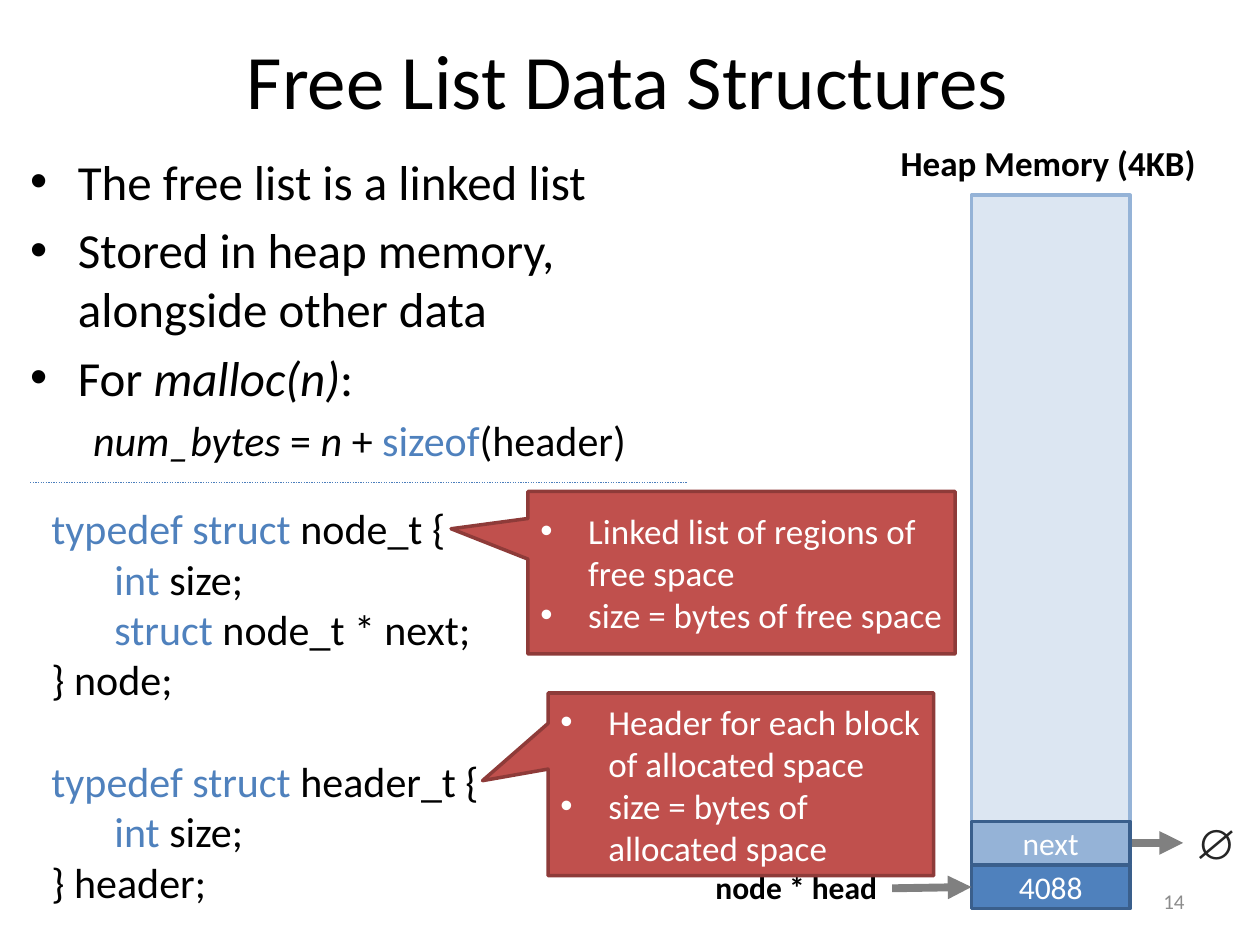
from dataclasses import dataclass
from lxml.etree import SubElement
from pptx import Presentation
from pptx.dml.color import RGBColor
from pptx.enum.dml import MSO_LINE
from pptx.enum.shapes import MSO_CONNECTOR, MSO_SHAPE
from pptx.enum.text import MSO_ANCHOR, PP_ALIGN
from pptx.oxml.ns import qn
from pptx.util import Inches, Pt


@dataclass(frozen=True)
class Theme:
    font: str = "Calibri"
    symbol_font: str = "Arial"
    text: str = "000000"
    white: str = "FFFFFF"
    muted: str = "8C8C8C"
    symbol: str = "252525"
    keyword: str = "4F81BD"
    heap: str = "DCE6F2"
    heap_edge: str = "95B3D7"
    cell_edge: str = "3A5F8C"
    note: str = "C0504D"
    note_edge: str = "8E3B39"
    arrow: str = "808080"
    rule: str = "4B7EBC"
    title: int = 44
    body: int = 28
    code: int = 24
    callout: int = 20
    label: int = 18
    number: int = 12


T = Theme()


def rgb(value):
    return RGBColor.from_string(value)


def add_run(p, text, size=T.label, color=T.text, bold=False, italic=False, font=T.font):
    r = p.add_run()
    r.text = text
    f = r.font
    f.name, f.size, f.bold, f.italic = font, Pt(size), bold, italic
    f.color.rgb = rgb(color)


def set_indent(p, left, bullet=False):
    pPr = p._p.get_or_add_pPr()
    pPr.set("marL", str(Inches(left)))
    pPr.set("indent", str(Inches(-left if bullet else 0)))
    if bullet:
        SubElement(pPr, qn("a:buFont")).set("typeface", "Arial")
        SubElement(pPr, qn("a:buChar")).set("char", "•")


def write(tf, paragraphs, align=PP_ALIGN.LEFT, anchor=MSO_ANCHOR.TOP, wrap=True, **fmt):
    tf.word_wrap = wrap
    tf.vertical_anchor = anchor
    for i, para in enumerate(paragraphs):
        p = tf.paragraphs[0] if i == 0 else tf.add_paragraph()
        p.alignment = align
        p.space_before = Pt(para.get("before", 0))
        set_indent(p, para.get("left", 0), para.get("bullet", False))
        for text, extra in para["runs"]:
            add_run(p, text, **{**fmt, **extra})


def para(*runs, **layout):
    return {"runs": [(r, {}) if isinstance(r, str) else r for r in runs], **layout}


def bullet(*runs, **layout):
    return para(*runs, left=0.38, bullet=True, **layout)


def keyword(text):
    return text, {"color": T.keyword}


def italic(text):
    return text, {"italic": True}


def add_text(s, box, paragraphs, **fmt):
    sp = s.shapes.add_textbox(*map(Inches, box))
    write(sp.text_frame, paragraphs, **fmt)


def add_box(s, box, fill, edge, paragraphs=(), kind=MSO_SHAPE.RECTANGLE, adjust=(), **fmt):
    sp = s.shapes.add_shape(kind, *map(Inches, box))
    sp.shadow.inherit = False
    sp.fill.solid()
    sp.fill.fore_color.rgb = rgb(fill)
    sp.line.color.rgb = rgb(edge)
    sp.line.width = Pt(2)
    for i, value in enumerate(adjust):
        sp.adjustments[i] = value
    write(sp.text_frame, paragraphs, anchor=MSO_ANCHOR.MIDDLE, color=T.white, **fmt)


def add_callout(s, box, pointer, lines):
    add_box(s, box, T.note, T.note_edge, [bullet(line) for line in lines],
            kind=MSO_SHAPE.RECTANGULAR_CALLOUT, adjust=pointer, size=T.callout)


def add_line(s, start, end, color, width, dash=None, arrow=False):
    c = s.shapes.add_connector(MSO_CONNECTOR.STRAIGHT, *map(Inches, start + end))
    c.line.color.rgb = rgb(color)
    c.line.width = Pt(width)
    if dash:
        c.line.dash_style = dash
    if arrow:
        SubElement(c.line._get_or_add_ln(), qn("a:tailEnd")).set("type", "triangle")
    SubElement(c._element.spPr, qn("a:effectLst"))


def add_arrow(s, start, end):
    add_line(s, start, end, T.arrow, 4.5, arrow=True)


def add_bullets(s):
    add_text(s, (0.14, 1.15, 5.33, 2.07), [
        bullet("The free list is a linked list", before=5.6),
        bullet("Stored in heap memory, alongside other data", before=5.6),
        bullet("For ", italic("malloc(n)"), ":", before=5.6),
    ] + [{
        "runs": [(text, {**extra, "size": T.code}) for text, extra in (
            italic("num_bytes "), ("=", {}), italic(" n "), ("+ ", {}),
            keyword("sizeof"), ("(header)", {}))],
        "left": 0.5, "before": 4.8,
    }], size=T.body)


def add_code(s):
    add_text(s, (0.31, 3.94, 3.85, 3.33), [
        para(keyword("typedef struct "), "node_t {"),
        para(keyword("int "), "size;", left=0.5),
        para(keyword("struct "), "node_t * next;", left=0.5),
        para("} node;"),
        para(keyword("typedef struct "), "header_t {", before=29.3),
        para(keyword("int "), "size;", left=0.5),
        para("} header;"),
    ], size=T.code)


def add_heap(s):
    left, width, cell = 7.71, 1.26, 0.34
    add_arrow(s, (8.97, 6.69), (9.39, 6.69))
    add_box(s, (left, 1.55, width, 5.66), T.heap, T.heap_edge)
    add_text(s, (7.05, 1.07, 2.57, 0.44), [para("Heap Memory (4KB)")],
             size=T.callout, bold=True, wrap=False)
    add_text(s, (5.58, 6.84, 1.5, 0.4), [para("node * head")], bold=True, wrap=False)
    for top, fill, text in ((6.52, T.heap_edge, "next"), (6.87, T.keyword, "4088")):
        add_box(s, (left, top, width, cell), fill, T.cell_edge, [para(text)],
                align=PP_ALIGN.CENTER)
    add_text(s, (9.39, 6.44, 0.41, 0.5), [para("∅")], size=T.code, color=T.symbol,
             bold=True, font=T.symbol_font, wrap=False)
    add_arrow(s, (7.08, 7.05), (left, 7.04))


def main():
    prs = Presentation()
    prs.slide_width, prs.slide_height = Inches(10), Inches(7.5)
    s = prs.slides.add_slide(prs.slide_layouts[6])
    add_text(s, (0.05, 0, 9.87, 1.25), [para("Free List Data Structures")],
             size=T.title, align=PP_ALIGN.CENTER, anchor=MSO_ANCHOR.MIDDLE)
    add_bullets(s)
    add_text(s, (7.17, 6.95, 2.33, 0.4), [para("14")], size=T.number, color=T.muted,
             align=PP_ALIGN.RIGHT, anchor=MSO_ANCHOR.MIDDLE)
    add_heap(s)
    add_code(s)
    add_line(s, (0.24, 3.83), (5.46, 3.83), T.rule, 0.75, dash=MSO_LINE.ROUND_DOT)
    add_callout(s, (4.19, 3.9, 3.39, 1.29), (-0.68, -0.27),
                ["Linked list of regions of free space", "size = bytes of free space"])
    add_callout(s, (4.35, 5.5, 3.06, 1.45), (-0.67, -0.02),
                ["Header for each block of allocated space", "size = bytes of allocated space"])
    prs.save("out.pptx")


main()
